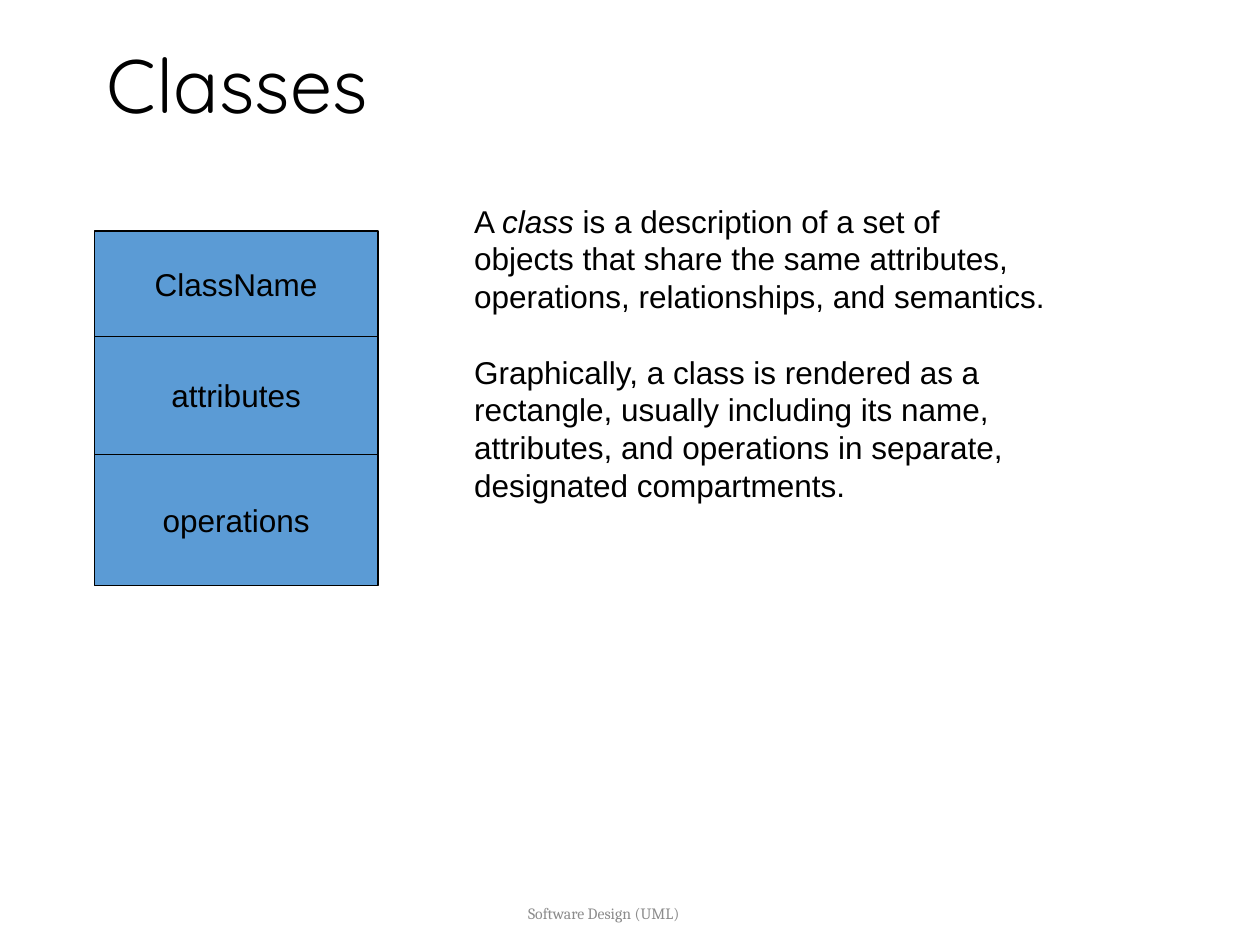
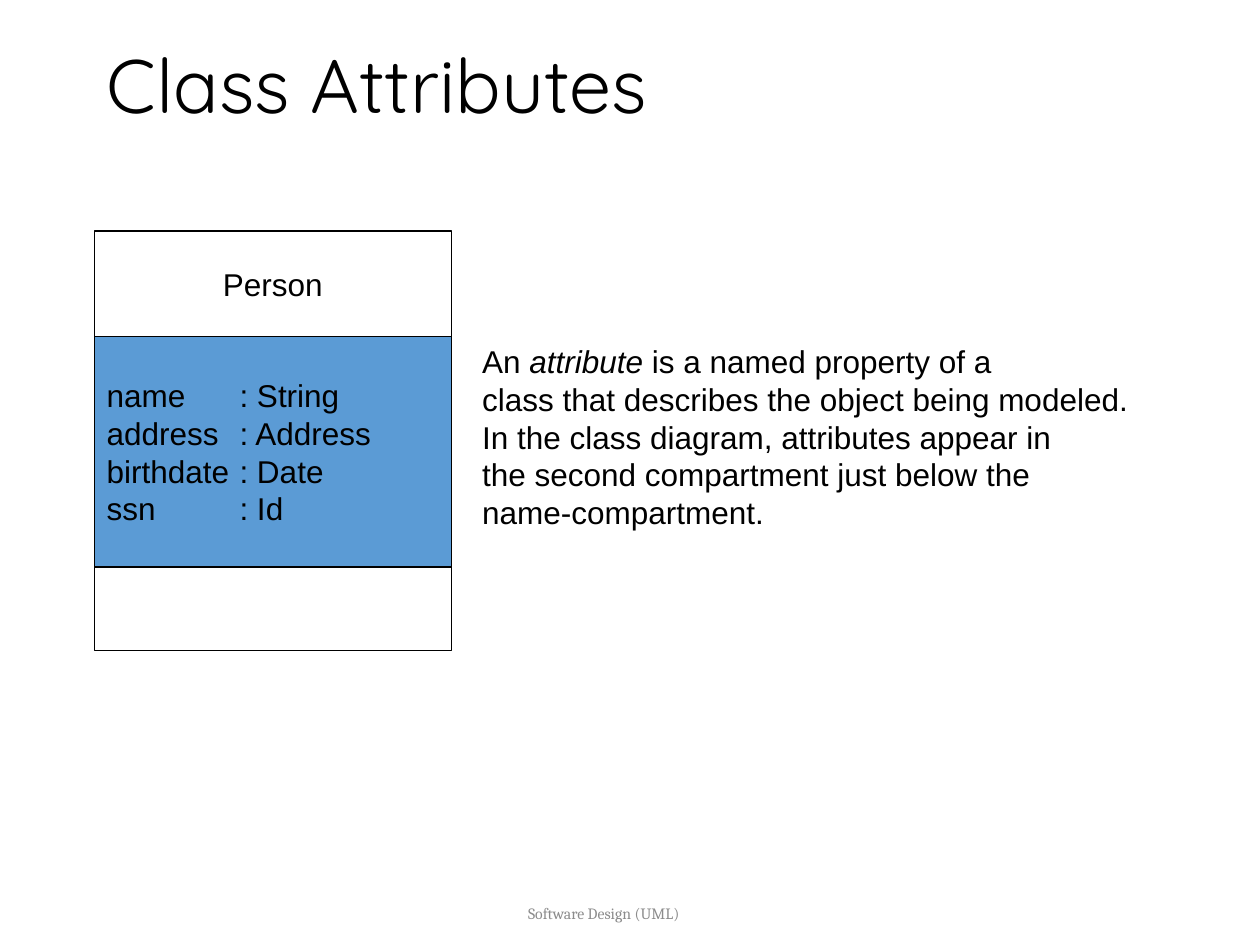
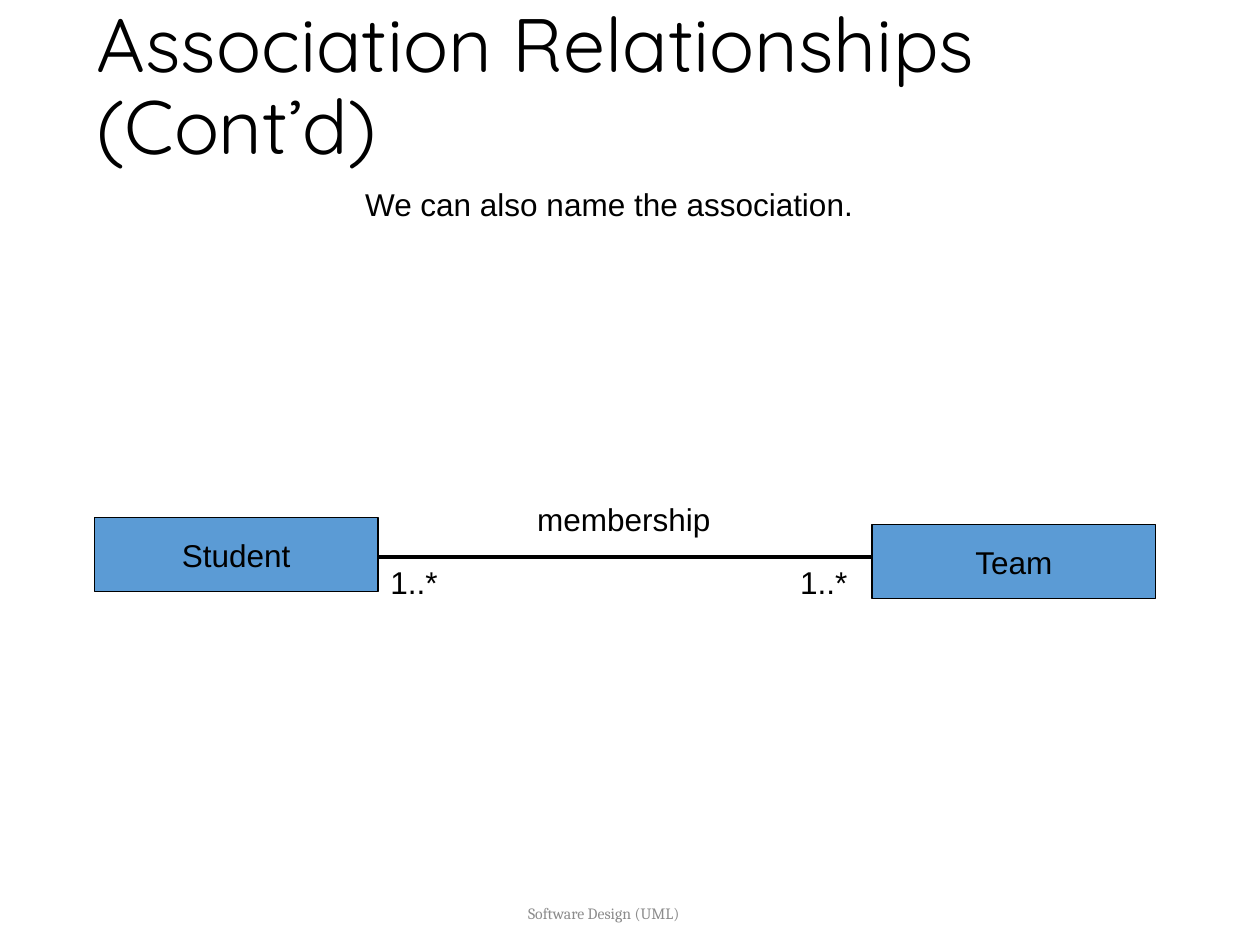
import dataclasses

import pptx
import pptx.dml.color
import pptx.enum.shapes
import pptx.enum.text
import pptx.oxml.ns
import pptx.util
from lxml import etree

Cm = pptx.util.Cm
Pt = pptx.util.Pt
ALIGN = pptx.enum.text.PP_ALIGN
ANCHOR = pptx.enum.text.MSO_ANCHOR


@dataclasses.dataclass(frozen=True)
class Theme:
    ink: str = "000000"
    blue: str = "5B9BD5"
    white: str = "FFFFFF"
    gray: str = "8C8C8C"
    title_font: str = "Quicksand"
    body_font: str = "Arial"
    footer_font: str = "Cambria"
    title_size: float = 43.2
    body_size: float = 18
    footer_size: float = 9
    border: float = 0.75
    association: float = 2.25
    paragraph_gap: float = 21.5


def color(value):
    return pptx.dml.color.RGBColor.from_string(value)


class UmlDeck:
    """Holds the style and the slide being built."""

    def __init__(self, theme):
        self.theme = theme
        self.deck = pptx.Presentation()
        self.deck.slide_width, self.deck.slide_height = Cm(25.4), Cm(19.05)
        self.page = None

    def add_page(self, title, left=1.9, width=21.8):
        theme = self.theme
        self.page = self.deck.slides.add_slide(self.deck.slide_layouts[5])
        self.text(6.56, 17.78, 11.22, 1.27, ["Software Design (UML)"],
                  align=ALIGN.CENTER, anchor=ANCHOR.MIDDLE,
                  style=(theme.footer_font, theme.footer_size, theme.gray))
        box = self.page.shapes.title
        box.left, box.top, box.width, box.height = Cm(left), Cm(1.06), Cm(width), Cm(1.48)
        self.fill_text(box.text_frame, [title], anchor=ANCHOR.MIDDLE,
                       style=(theme.title_font, theme.title_size, theme.ink))
        box.text_frame.paragraphs[0].line_spacing = 0.9

    def fill_text(self, frame, lines, align=ALIGN.LEFT, anchor=ANCHOR.TOP,
                  style=None, italic=None):
        theme = self.theme
        font, size, ink = style or (theme.body_font, theme.body_size, theme.ink)
        frame.word_wrap = True
        frame.auto_size = pptx.enum.text.MSO_AUTO_SIZE.NONE
        frame.vertical_anchor = anchor
        frame.text = "\n".join(lines)
        if italic:
            self.emphasize(frame.paragraphs[0], italic)
        for para in frame.paragraphs:
            para.alignment = align
            for span in para.runs:
                span.font.name, span.font.size = font, Pt(size)
                span.font.color.rgb = color(ink)

    def emphasize(self, para, word):
        before, word, after = para.text.partition(word)
        para.text = before
        for part in (word, after):
            span = para.add_run()
            span.text = part
            span.font.italic = part == word

    def text(self, left, top, width, height, lines, **options):
        box = self.page.shapes.add_textbox(Cm(left), Cm(top), Cm(width), Cm(height))
        self.fill_text(box.text_frame, lines, **options)
        return box

    def compartment(self, left, top, width, height, lines=(), fill=None, align=ALIGN.CENTER):
        box = self.page.shapes.add_shape(pptx.enum.shapes.MSO_SHAPE.RECTANGLE,
                                         Cm(left), Cm(top), Cm(width), Cm(height))
        box.shadow.inherit = False
        box.fill.solid()
        box.fill.fore_color.rgb = color(fill or self.theme.blue)
        box.line.color.rgb = color(self.theme.ink)
        box.line.width = Pt(self.theme.border)
        self.fill_text(box.text_frame, lines, align=align, anchor=ANCHOR.MIDDLE)
        return box

    def set_tab(self, box, position):
        for para in box.text_frame.paragraphs:
            tabs = etree.SubElement(para._p.get_or_add_pPr(), pptx.oxml.ns.qn("a:tabLst"))
            etree.SubElement(tabs, pptx.oxml.ns.qn("a:tab"), pos=str(Cm(position)), algn="l")

    def association(self, start, end, level):
        line = self.page.shapes.add_connector(pptx.enum.shapes.MSO_CONNECTOR.STRAIGHT,
                                              Cm(start), Cm(level), Cm(end), Cm(level))
        line.line.color.rgb = color(self.theme.ink)
        line.line.width = Pt(self.theme.association)
        etree.SubElement(line._element.spPr, pptx.oxml.ns.qn("a:effectLst"))


def classes_page(uml):
    uml.add_page("Classes")
    # Class symbol, stacked from the top
    top = 4.66
    for label, height in (("ClassName", 2.12), ("attributes", 2.38), ("operations", 2.65)):
        uml.compartment(1.9, top, 5.72, height, [label])
        top += height
    # Definition
    box = uml.text(9.31, 3.94, 15.41, 8.38, [
        "A class is a description of a set of",
        "objects that share the same attributes,",
        "operations, relationships, and semantics.",
        "Graphically, a class is rendered as a",
        "rectangle, usually including its name,",
        "attributes, and operations in separate,",
        "designated compartments.",
    ], italic="class")
    box.text_frame.paragraphs[3].space_before = Pt(uml.theme.paragraph_gap)


def attributes_page(uml):
    uml.add_page("Class Attributes")
    # Person class
    left, width = 1.9, 7.2
    attributes = (("name", "String"), ("address", "Address"), ("birthdate", "Date"), ("ssn", "Id"))
    uml.compartment(left, 4.66, width, 2.12, ["Person"], fill=uml.theme.white)
    box = uml.compartment(left, 6.78, width, 4.65,
                          [f"{name}\t: {kind}" for name, kind in attributes], align=ALIGN.LEFT)
    uml.set_tab(box, 2.68)
    uml.compartment(left, 11.43, width, 1.69, fill=uml.theme.white)
    # Definition
    uml.text(9.47, 6.77, 15.93, 5.33, [
        "An attribute is a named property of a",
        "class that describes the object being modeled.",
        "In the class diagram, attributes appear in",
        "the second compartment just below the",
        "name-compartment.",
    ], italic="attribute")


def association_page(uml):
    uml.add_page("Association Relationships (Cont’d)", left=1.69, width=22.44)
    uml.text(4.24, 3.6, 16.08, 1.27, ["We can also name the association."], align=ALIGN.CENTER)
    # Linked classes
    uml.association(7.62, 17.78, 11.22)
    for name, left, top in (("Team", 17.58, 10.58), ("Student", 1.9, 10.44)):
        uml.compartment(left, top, 5.72, 1.48, [name])
    # Association name and multiplicities
    for label, left, top, width in (("membership", 10.58, 9.95, 4.87),
                                    ("1..*", 7.62, 11.22, 2.12),
                                    ("1..*", 15.88, 11.22, 1.9)):
        uml.text(left, top, width, 1.27, [label])


def main():
    uml = UmlDeck(Theme())
    classes_page(uml)
    attributes_page(uml)
    association_page(uml)
    uml.deck.save("out.pptx")


if __name__ == "__main__":
    main()
